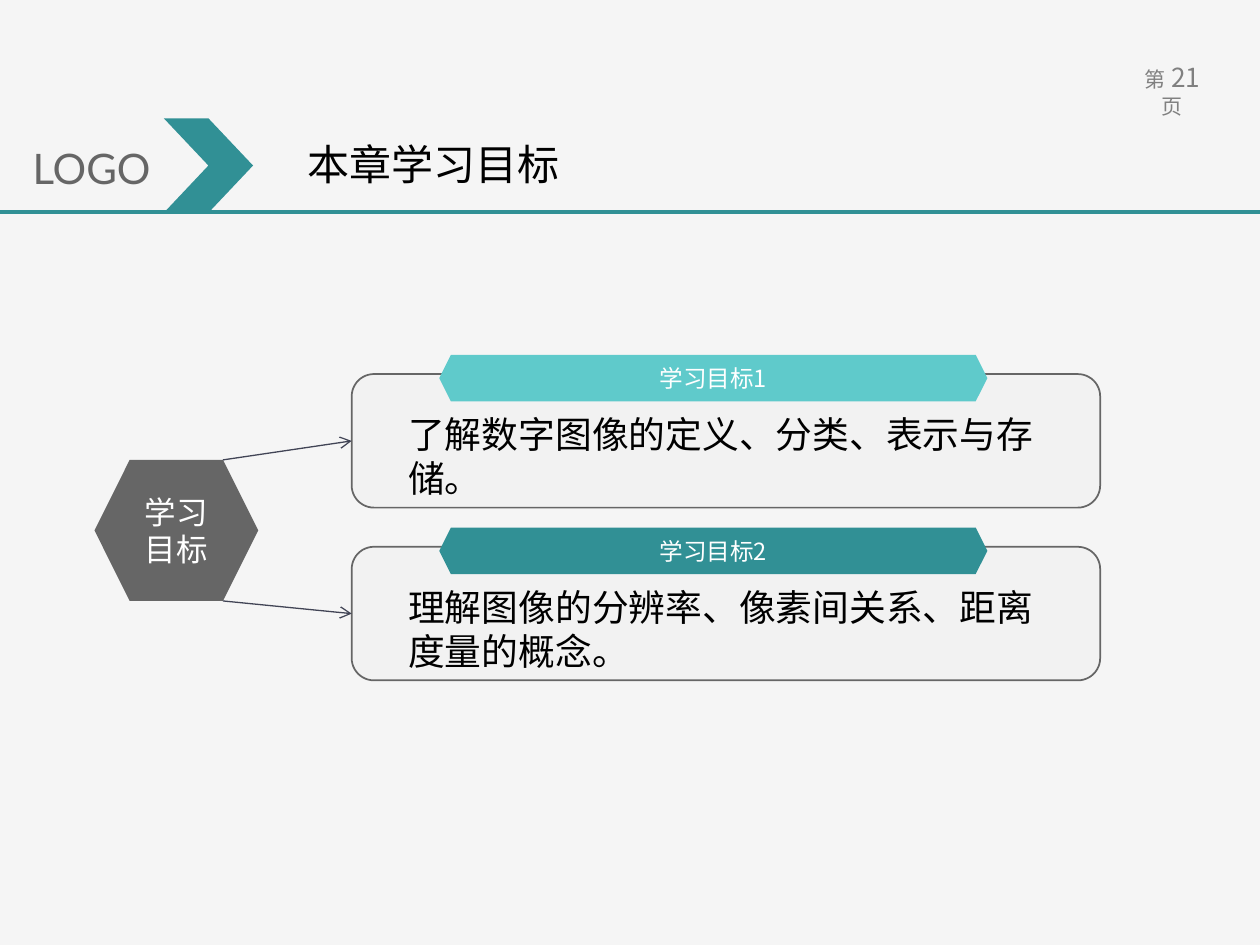
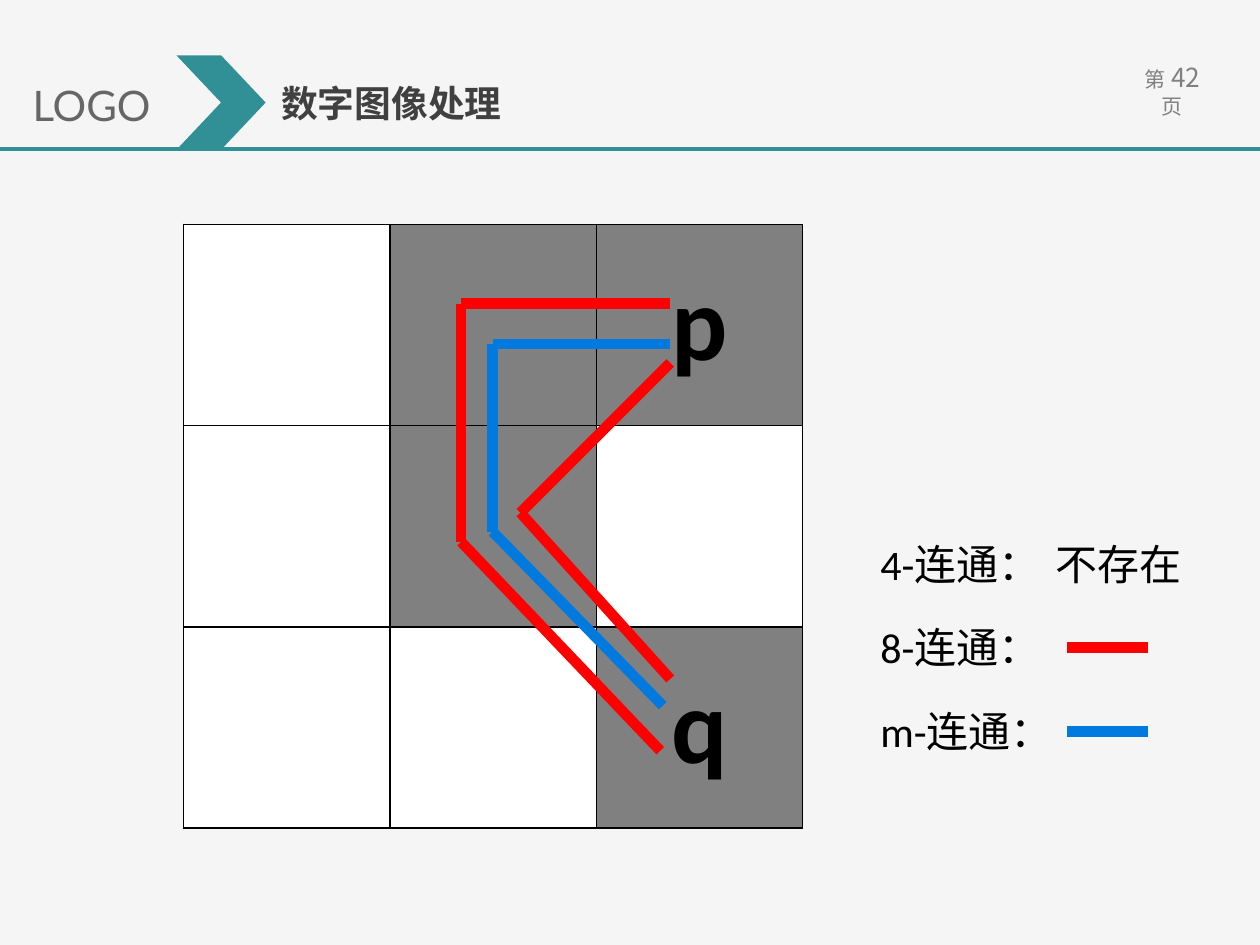
"""Builds two lecture slides on learning goals and pixel connectivity."""
from lxml import etree
from pptx import Presentation
from pptx.dml.color import RGBColor
from pptx.enum.shapes import MSO_CONNECTOR, MSO_SHAPE
from pptx.enum.text import MSO_ANCHOR, MSO_AUTO_SIZE, PP_ALIGN
from pptx.oxml.ns import qn
from pptx.util import Pt

STRAIGHT = MSO_CONNECTOR.STRAIGHT
HEXAGON, CHEVRON, ROUNDED = MSO_SHAPE.HEXAGON, MSO_SHAPE.CHEVRON, MSO_SHAPE.ROUNDED_RECTANGLE
TOP, MIDDLE = MSO_ANCHOR.TOP, MSO_ANCHOR.MIDDLE
LEFT, CENTER = PP_ALIGN.LEFT, PP_ALIGN.CENTER
NO_AUTOSIZE = MSO_AUTO_SIZE.NONE

BACKGROUND = RGBColor(0xF5, 0xF5, 0xF5)
PANEL = RGBColor(0xF2, 0xF2, 0xF2)
TEAL = RGBColor(0x31, 0x90, 0x95)
AQUA = RGBColor(0x5F, 0xCA, 0xCB)
SLATE = RGBColor(0x66, 0x66, 0x66)
GRAY = RGBColor(0x80, 0x80, 0x80)
CHARCOAL = RGBColor(0x40, 0x40, 0x40)
NAVY = RGBColor(0x41, 0x44, 0x55)
BLACK = RGBColor(0, 0, 0)
WHITE = RGBColor(0xFF, 0xFF, 0xFF)
RED = RGBColor(0xFF, 0, 0)
BLUE = RGBColor(0, 0x7A, 0xDE)

CJK, LATO, CALIBRI = "Noto Sans CJK SC", "Lato", "Calibri"

GOALS = [
    ("学习目标1", AQUA, "了解数字图像的定义、分类、表示与存储。"),
    ("学习目标2", TEAL, "理解图像的分辨率、像素间关系、距离度量的概念。"),
]
GOAL_TOP, GOAL_STEP = 213.8, 98.7
HUB = (54, 262.8, 93.6, 80.6)
HUB_CORNER_X = 127.4

PIXELS = [(0, 1, 1), (0, 1, 0), (0, 0, 1)]
PIXEL_NAMES = {(0, 2): "p", (2, 2): "q"}
GRID_LEFT, GRID_TOP, PIXEL_WIDTH, PIXEL_HEIGHT = 105, 128.2, 117.9, 115
PATHS = [
    (RED, [(383, 173.5), (263.5, 173.5), (263.5, 309.6), (377.3, 429)]),
    (RED, [(383, 207.4), (297.4, 293), (383, 388)]),
    (BLUE, [(383, 196.5), (281.5, 196.5), (281.5, 303.8), (378.7, 403.2)]),
]
LEGEND = [("4-连通：", None), ("8-连通：", RED), ("m-连通：", BLUE)]
LEGEND_LEFT, LEGEND_TOP, LEGEND_STEP = 496, 304, 47.9
KEY_LEFT, KEY_RIGHT = 609.8, 655.9


def points(*lengths):
    return [Pt(length) for length in lengths]


def set_font(p, name, size, color, bold=False):
    font = p.font
    font.name, font.size, font.bold = name, Pt(size), bold
    font.color.rgb = color
    props = p._p.pPr.find(qn("a:defRPr"))
    props.find(qn("a:latin")).addnext(props.makeelement(qn("a:ea"), {"typeface": CJK}))


def set_margins(tf, x, y):
    tf.margin_left = tf.margin_right = Pt(x)
    tf.margin_top = tf.margin_bottom = Pt(y)


def write(sp, text, name, size, color, bold=False, align=LEFT, anchor=TOP, margins=(7.2, 3.6)):
    tf = sp.text_frame
    tf.word_wrap, tf.auto_size, tf.vertical_anchor = True, NO_AUTOSIZE, anchor
    set_margins(tf, *margins)
    p = tf.paragraphs[0]
    p.text, p.alignment = text, align
    set_font(p, name, size, color, bold)
    return p


def add_text(slide, box, *args, **options):
    return write(slide.shapes.add_textbox(*points(*box)), *args, **options)


def add_shape(slide, kind, box, fill, line=None):
    sp = slide.shapes.add_shape(kind, *points(*box))
    sp.shadow.inherit = False
    sp.fill.solid()
    sp.fill.fore_color.rgb = fill
    if line is None:
        sp.line.fill.background()
    else:
        sp.line.color.rgb, sp.line.width = line, Pt(1)
    return sp


def add_line(shapes, start, end, color, width):
    line = shapes.add_connector(STRAIGHT, *points(*start, *end))
    line.line.color.rgb, line.line.width = color, Pt(width)
    etree.SubElement(line._element.spPr, qn("a:effectLst"))
    return line


def add_arrowhead(line):
    tail = etree.Element(qn("a:tailEnd"), type="arrow")
    line.line._get_or_add_ln().append(tail)


def add_slide(prs, page, rule_y, chevron_x, title, title_box, *title_font):
    slide = prs.slides.add_slide(prs.slide_layouts[5])
    sp = slide.shapes.title
    sp.left, sp.top, sp.width, sp.height = points(*title_box)
    write(sp, title, *title_font)
    add_line(slide.shapes, (0, rule_y), (720, rule_y), TEAL, 2.25)
    add_shape(slide, CHEVRON, (chevron_x, rule_y - 53.4, 51, 54), TEAL)
    add_text(slide, (11.5, rule_y - 43, 90, 37), "LOGO", LATO, 24, SLATE)
    p = add_text(slide, (641, 31.7, 58, 40), "", CJK, 13.5, GRAY, align=CENTER)
    for text, size in [("第", 12), (" ", 13.5), (page, 15), (" ", 13.5), ("页", 12)]:
        r = p.add_run()
        r.text, r.font.size = text, Pt(size)
    return slide


def add_goals(slide):
    hub = add_shape(slide, HEXAGON, HUB, SLATE)
    write(hub, "学习目标", CJK, 18, WHITE, align=CENTER, anchor=MIDDLE, margins=(5.8, 2.9))
    for i, (label, color, goal) in enumerate(GOALS):
        top = GOAL_TOP + i * GOAL_STEP
        panel = add_shape(slide, ROUNDED, (201, top, 427.7, 76.3), PANEL, SLATE)
        tab = add_shape(slide, HEXAGON, (251, top - 11, 313.2, 26.6), color)
        write(tab, label, CJK, 13.5, WHITE, align=CENTER, anchor=MIDDLE, margins=(5.8, 2.9))
        add_text(slide, (227.5, top + 18.7, 385, 56), goal, CALIBRI, 21, BLACK, margins=(5.8, 2.9))
        corner = (HUB_CORNER_X, HUB[1] + i * HUB[3])
        arrow = add_line(slide.shapes, corner, (201, top + 38.2), NAVY, 0.75)
        arrow.end_connect(panel, 1)
        add_arrowhead(arrow)


def set_borders(cell):
    props = cell._tc.get_or_add_tcPr()
    for i, side in enumerate(("a:lnL", "a:lnR", "a:lnT", "a:lnB")):
        ln = etree.Element(qn(side), w=str(Pt(1)))
        fill = etree.SubElement(ln, qn("a:solidFill"))
        etree.SubElement(fill, qn("a:srgbClr"), val=str(BLACK))
        props.insert(i, ln)


def add_pixels(slide):
    size = len(PIXELS)
    box = (GRID_LEFT, GRID_TOP, size * PIXEL_WIDTH, size * PIXEL_HEIGHT)
    table = slide.shapes.add_table(size, size, *points(*box)).table
    table.first_row = table.horz_banding = False
    for i, row in enumerate(PIXELS):
        table.rows[i].height = Pt(PIXEL_HEIGHT)
        table.columns[i].width = Pt(PIXEL_WIDTH)
        for j, value in enumerate(row):
            cell = table.cell(i, j)
            cell.fill.solid()
            cell.fill.fore_color.rgb = GRAY if value else WHITE
            set_borders(cell)
            if (i, j) in PIXEL_NAMES:
                cell.vertical_anchor = MIDDLE
                p = cell.text_frame.paragraphs[0]
                p.text, p.alignment = PIXEL_NAMES[i, j], CENTER
                set_font(p, CALIBRI, 60, BLACK, True)


def add_paths(slide):
    for color, corners in PATHS:
        group = slide.shapes.add_group_shape()
        for start, end in zip(corners, corners[1:]):
            add_line(group.shapes, start, end, color, 6)


def add_legend(slide):
    for i, (label, color) in enumerate(LEGEND):
        top = LEGEND_TOP + i * LEGEND_STEP
        add_text(slide, (LEGEND_LEFT, top, 112, 36), label, CALIBRI, 24, BLACK)
        if color is None:
            add_text(slide, (596.2, top, 96.5, 36), "不存在", CALIBRI, 24, BLACK)
        else:
            y = top + 18.1
            add_line(slide.shapes, (KEY_LEFT, y), (KEY_RIGHT, y), color, 6)


def main():
    prs = Presentation()
    prs.slide_width, prs.slide_height = points(720, 540)
    background = prs.slide_master.background.fill
    background.solid()
    background.fore_color.rgb = BACKGROUND

    slide = add_slide(prs, "21", 121, 93.6, "本章学习目标", (144.7, 61.2, 241, 46), LATO, 24, BLACK)
    p = slide.shapes.title.text_frame.paragraphs[0]
    p.line_spacing = 1.5
    p._p.pPr.set("indent", str(Pt(24)))
    add_goals(slide)

    slide = add_slide(prs, "42", 85, 100.8, "数字图像处理", (153.4, 42.5, 241, 32.4),
                      CJK, 21, CHARCOAL, True)
    add_pixels(slide)
    add_paths(slide)
    add_legend(slide)
    prs.save("out.pptx")


if __name__ == "__main__":
    main()
